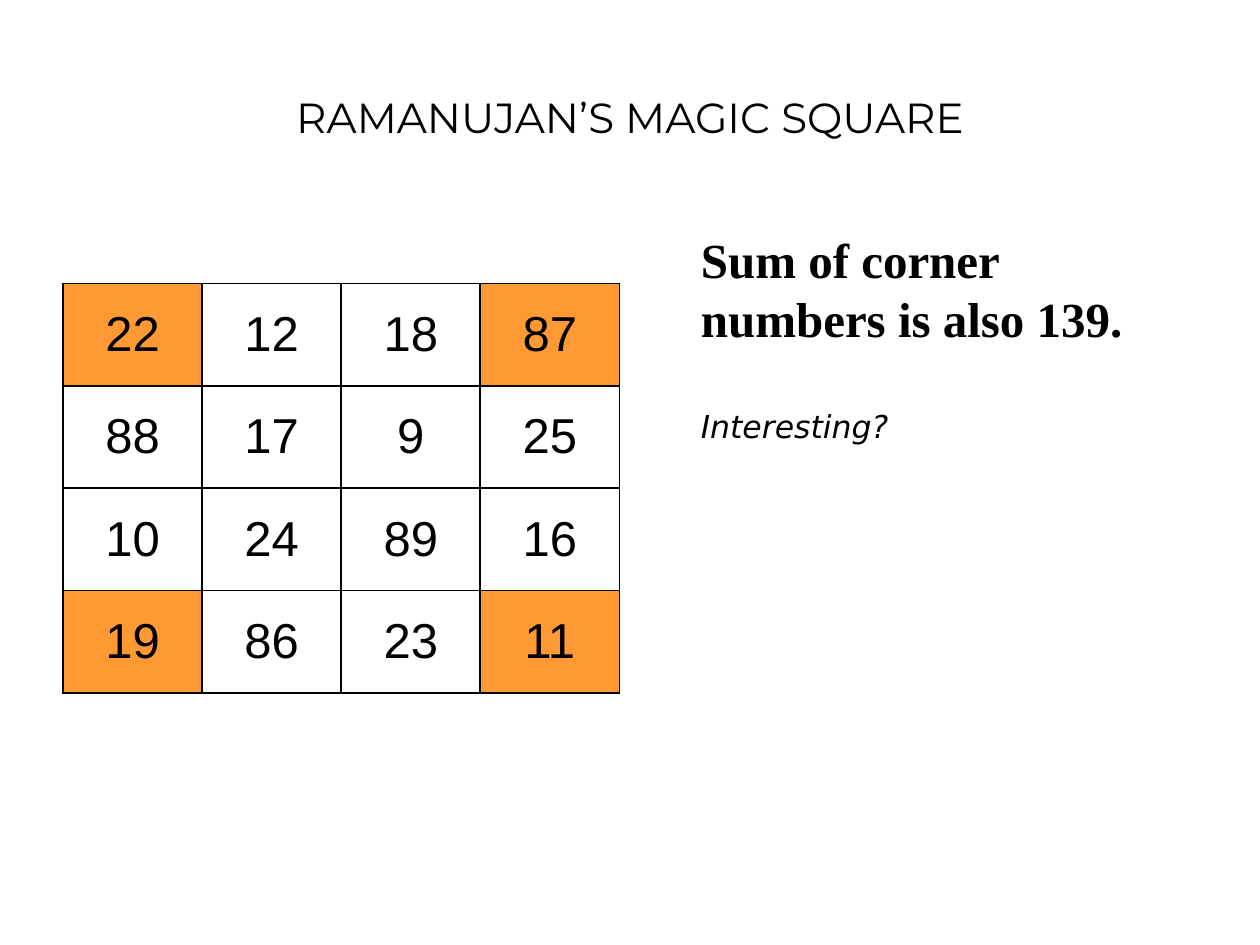
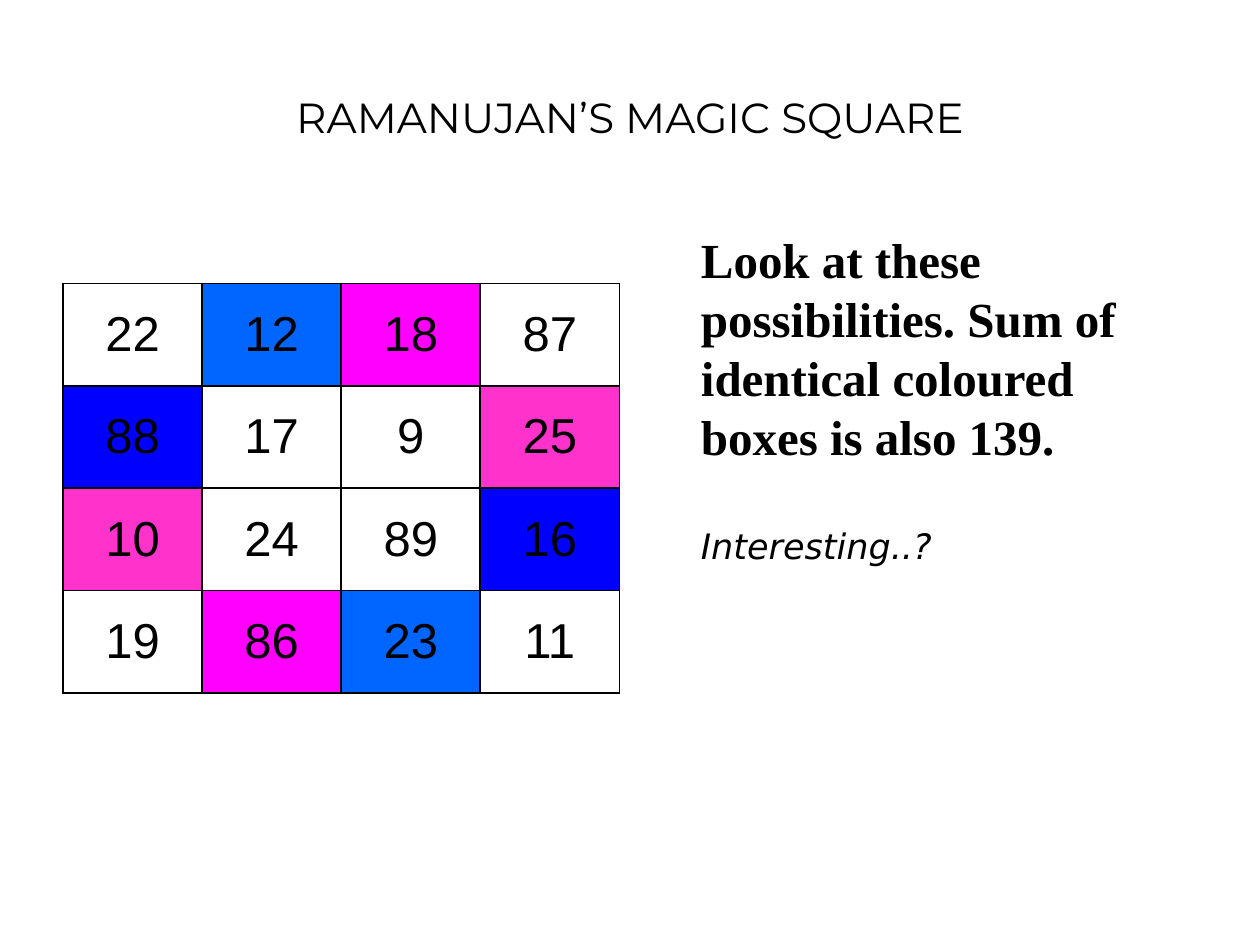
from lxml import etree
from pptx import Presentation
from pptx.dml.color import RGBColor
from pptx.enum.text import MSO_ANCHOR, PP_ALIGN
from pptx.oxml.ns import qn
from pptx.util import Inches, Pt

MID, TOP = MSO_ANCHOR.MIDDLE, MSO_ANCHOR.TOP
LEFT, MIDST = PP_ALIGN.LEFT, PP_ALIGN.CENTER

# The slide is a grid of 120 columns by 90 rows
COLS, ROWS = 120, 90
UNIT = Inches(10) // COLS
INK, PAPER = "000000", "FFFFFF"
TITLE = "RAMANUJAN’S MAGIC SQUARE"
SQUARE = [
    [22, 12, 18, 87],
    [88, 17, 9, 25],
    [10, 24, 89, 16],
    [19, 86, 23, 11],
]
PAINT = {
    ".": PAPER, "o": "FF9933", "s": "0066FF",
    "m": "FF00FF", "b": "0000FF", "p": "FF33CC",
}

# Claim, aside, size of the aside, colour key for each cell
PAGES = [
    ("Sum of corner numbers is also 139.", "Interesting?", 18,
     ["o..o", "....", "....", "o..o"]),
    ("Look at these possibilities. Sum of identical coloured boxes is also 139.",
     "Interesting..?", 20,
     [".sm.", "b..p", "p..b", ".ms."]),
]


def color(code):
    return RGBColor.from_string(code)


def grid(*spans):
    return [round(span * UNIT) for span in spans]


def write(para, text, font="Arial", size=28, bold=False, slant=False,
          align=LEFT, before=0, pitch=None):
    """Put one formatted run into a paragraph."""
    para.alignment = align
    if before:
        para.space_before = Pt(before)
    if pitch:
        para.line_spacing = Pt(pitch)
    run = para.add_run()
    run.text = text
    run.font.name, run.font.size = font, Pt(size)
    run.font.bold, run.font.italic = bold, slant
    run.font.color.rgb = color(INK)


def frame(slide, spans, anchor=TOP):
    """Add a wrapping text box and return its text frame."""
    body = slide.shapes.add_textbox(*grid(*spans)).text_frame
    body.word_wrap = True
    body.vertical_anchor = anchor
    return body


def rule(cell, width=1.08):
    """Draw a solid border on all four sides of a cell."""
    props = cell._tc.get_or_add_tcPr()
    for side in ("lnL", "lnR", "lnT", "lnB"):
        line = etree.SubElement(props, qn("a:" + side), w=str(Pt(width)))
        fill = etree.SubElement(line, qn("a:solidFill"))
        etree.SubElement(fill, qn("a:srgbClr"), val=INK)


def add_title(slide):
    body = frame(slide, (6, 3.6, 108, 15), MID)
    write(body.paragraphs[0], TITLE, font="Montserrat", size=24, align=MIDST)


def add_square(slide, keys):
    count = len(SQUARE)
    table = slide.shapes.add_table(count, count, *grid(6, 27, 53, 39)).table
    table.first_row = table.horz_banding = False
    for y, (nums, marks) in enumerate(zip(SQUARE, keys)):
        for x, (num, mark) in enumerate(zip(nums, marks)):
            cell = table.cell(y, x)
            rule(cell)
            cell.fill.solid()
            cell.fill.fore_color.rgb = color(PAINT[mark])
            cell.vertical_anchor = MID
            write(cell.text_frame.paragraphs[0], str(num), align=MIDST)


def add_note(slide, claim, aside, size):
    body = frame(slide, (61, 21, 53, 59.4))
    body.margin_left += Inches(0.38)
    body.margin_top = Inches(0.07)
    write(body.paragraphs[0], claim, font="Times New Roman", bold=True,
          pitch=33.7)
    write(body.add_paragraph(), aside, font="DejaVu Sans", size=size,
          slant=True, before=34)


def main():
    deck = Presentation()
    deck.slide_width, deck.slide_height = grid(COLS, ROWS)
    for claim, aside, size, keys in PAGES:
        slide = deck.slides.add_slide(deck.slide_layouts[6])
        add_title(slide)
        add_square(slide, keys)
        add_note(slide, claim, aside, size)
    deck.save("out.pptx")


if __name__ == "__main__":
    main()
